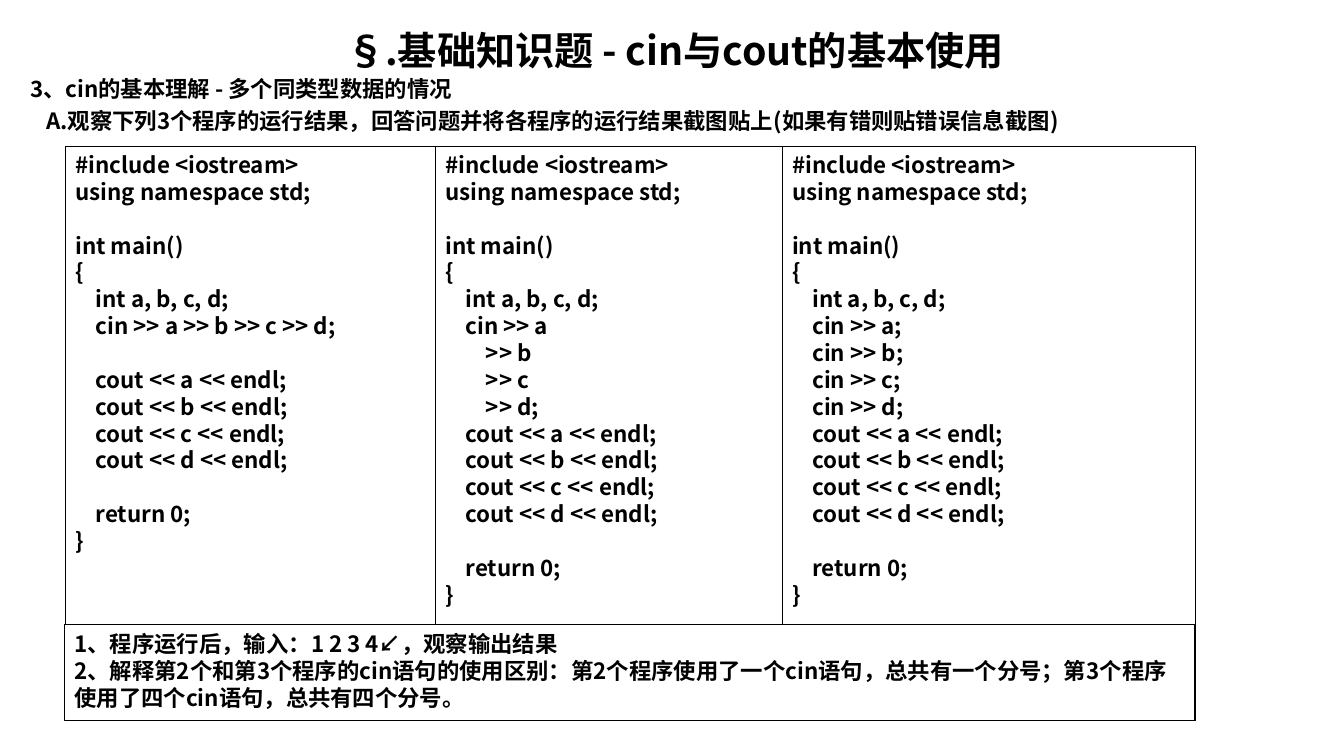
"""Build a slide comparing three ways of reading four integers with cin."""
from dataclasses import dataclass
from itertools import accumulate

from lxml import etree
from pptx import Presentation
from pptx import util as u
from pptx.dml.color import RGBColor
from pptx.enum import shapes, text
from pptx.oxml.ns import qn
from pptx.slide import Slide
from pptx.text.text import _Paragraph as Paragraph


@dataclass(frozen=True)
class Theme:
    font: str = "Noto Sans CJK SC"
    ink: RGBColor = RGBColor(0, 0, 0)
    paper: RGBColor = RGBColor(255, 255, 255)
    title_size: float = 28
    body_size: float = 16
    title_leading: float = 36
    body_leading: float = 19.2
    border: float = 0.75


@dataclass(frozen=True)
class Panel:
    left: float
    top: float
    width: float
    height: float
    content: str = ""
    filled: bool = False


@dataclass(frozen=True)
class Heading:
    content: str
    size: float
    leading: float
    before: float = 0
    indent: float = 0
    alignment: text.PP_ALIGN = text.PP_ALIGN.LEFT


THEME = Theme()
FRAME = Panel(46.8, 104.4, 807.12, 410.4)
COLUMN_WIDTHS = (264.24, 247.68, 295.2)

HEADINGS = (
    Heading("§.基础知识题 - cin与cout的基本使用", THEME.title_size,
            THEME.title_leading, alignment=text.PP_ALIGN.CENTER),
    Heading("3、cin的基本理解 - 多个同类型数据的情况", THEME.body_size,
            THEME.body_leading, before=1),
    Heading("A.观察下列3个程序的运行结果，回答问题并将各程序的运行结果截图贴上"
            "(如果有错则贴错误信息截图)", THEME.body_size,
            THEME.body_leading, before=3.5, indent=11.5),
)

INPUTS = (
    ("    cin >> a >> b >> c >> d;", ""),
    ("    cin >> a", "        >> b", "        >> c", "        >> d;"),
    tuple(f"    cin >> {name};" for name in "abcd"),
)

NOTES = Panel(
    46.08, 446.4, 807.12, 68.4,
    "1、程序运行后，输入：1 2 3 4↙，观察输出结果\n"
    "2、解释第2个和第3个程序的cin语句的使用区别：第2个程序使用了一个cin语句，"
    "总共有一个分号；第3个程序使用了四个cin语句，总共有四个分号。",
    filled=True,
)


def program(inputs: tuple[str, ...]) -> str:
    """Return the full program around the given input lines."""
    opening = ("#include <iostream>", "using namespace std;", "",
               "int main()", "{", "    int a, b, c, d;")
    outputs = tuple(f"    cout << {name} << endl;" for name in "abcd")
    return "\n".join(opening + inputs + outputs + ("", "    return 0;", "}"))


def format_paragraph(paragraph: Paragraph, size: float, leading: float,
                     alignment: text.PP_ALIGN = text.PP_ALIGN.LEFT) -> None:
    """Apply the theme font and the line pitch to a paragraph."""
    paragraph.alignment = alignment
    paragraph.line_spacing = u.Pt(leading)
    for run in paragraph.runs:
        run.font.size = u.Pt(size)
        run.font.bold = True
        run.font.color.rgb = THEME.ink
        run.font.name = THEME.font
        east_asian = etree.SubElement(run.font._element, qn("a:ea"))
        east_asian.set("typeface", THEME.font)


def draw_headings(slide: Slide) -> None:
    """Draw the title and the two lines under it."""
    shape = slide.shapes.add_textbox(u.Pt(14.4), u.Pt(12.96), u.Pt(935.28), u.Pt(90))
    frame = shape.text_frame
    frame.word_wrap = True
    frame.text = "\n".join(heading.content for heading in HEADINGS)
    for paragraph, heading in zip(frame.paragraphs, HEADINGS):
        format_paragraph(paragraph, heading.size, heading.leading, heading.alignment)
        if heading.before:
            paragraph.space_before = u.Pt(heading.before)
        if heading.indent:
            properties = paragraph._p.get_or_add_pPr()
            properties.set("marL", str(int(u.Pt(heading.indent))))


def draw_panel(slide: Slide, panel: Panel) -> None:
    """Draw a bordered rectangle with its text."""
    shape = slide.shapes.add_shape(
        shapes.MSO_SHAPE.RECTANGLE, u.Pt(panel.left), u.Pt(panel.top),
        u.Pt(panel.width), u.Pt(panel.height))
    shape.shadow.inherit = False
    shape.line.color.rgb = THEME.ink
    shape.line.width = u.Pt(THEME.border)
    if panel.filled:
        shape.fill.solid()
        shape.fill.fore_color.rgb = THEME.paper
    else:
        shape.fill.background()
    if panel.content:
        frame = shape.text_frame
        frame.word_wrap = True
        frame.vertical_anchor = text.MSO_ANCHOR.TOP
        frame.text = panel.content
        for paragraph in frame.paragraphs:
            format_paragraph(paragraph, THEME.body_size, THEME.body_leading)


def main() -> None:
    """Build and save the presentation."""
    presentation = Presentation()
    presentation.slide_width = u.Pt(960)
    presentation.slide_height = u.Pt(540)
    slide = presentation.slides.add_slide(presentation.slide_layouts[6])
    draw_panel(slide, FRAME)
    draw_headings(slide)
    lefts = accumulate(COLUMN_WIDTHS, initial=FRAME.left)
    for left, width, inputs in zip(lefts, COLUMN_WIDTHS, INPUTS):
        draw_panel(slide, Panel(left, FRAME.top, width, FRAME.height, program(inputs)))
    draw_panel(slide, NOTES)
    presentation.save("out.pptx")


if __name__ == "__main__":
    main()
